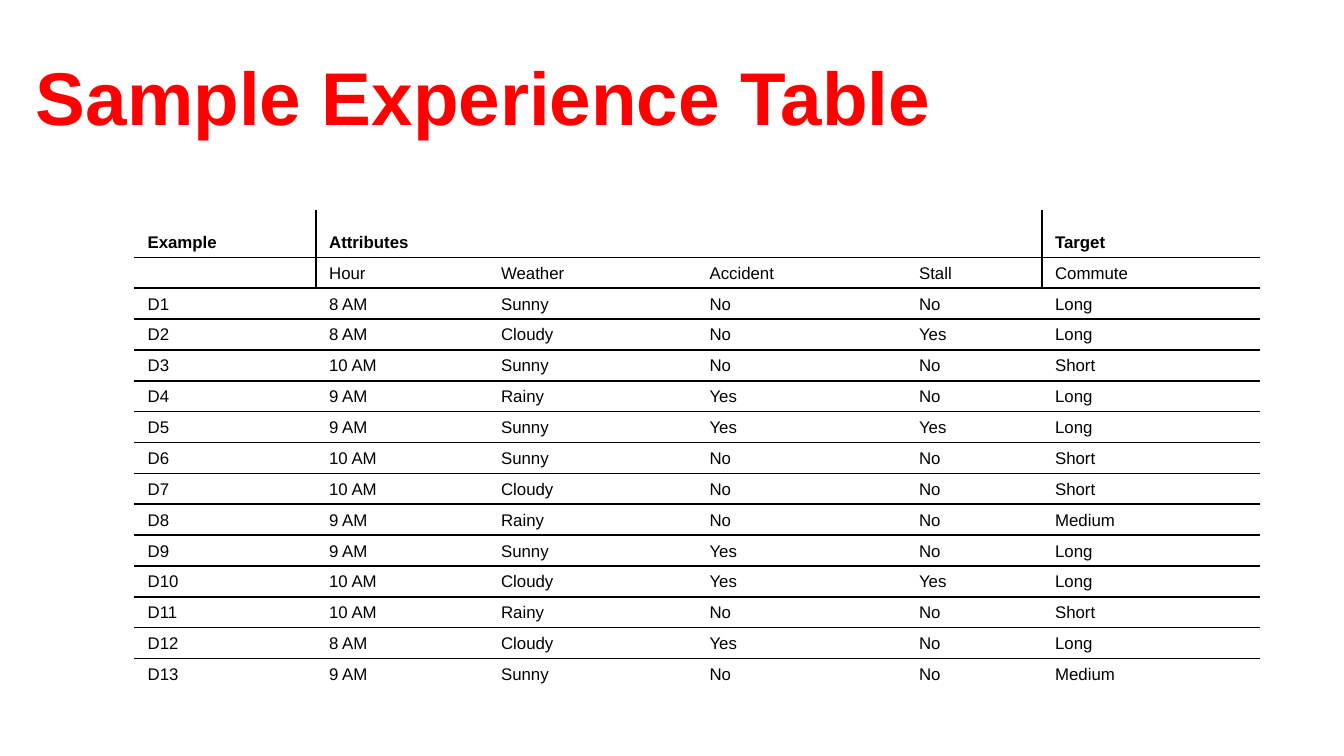
import dataclasses

import lxml.etree
import pptx
import pptx.dml.color
import pptx.enum.text
import pptx.oxml.ns
import pptx.util
from pptx.util import Cm


@dataclasses.dataclass(frozen=True)
class Theme:
    font: str = "Arial"
    red: str = "FF0000"
    black: str = "000000"
    title: int = 40
    body: int = 9
    rule: int = 1


theme = Theme()
qn = pptx.oxml.ns.qn


def write(para, text, size, color, bold):
    run = para.add_run()
    run.text = text
    run.font.name = theme.font
    run.font.size = pptx.util.Pt(size)
    run.font.bold = bold
    run.font.color.rgb = pptx.dml.color.RGBColor.from_string(color)


def edge(cell, side, shown):
    """Rule one side of a cell, or clear it; call in the order L, R, T, B."""
    width = str(pptx.util.Pt(theme.rule))
    line = lxml.etree.SubElement(cell._tc.get_or_add_tcPr(), qn(f"a:ln{side}"), w=width)
    if shown:
        fill = lxml.etree.SubElement(line, qn("a:solidFill"))
        lxml.etree.SubElement(fill, qn("a:srgbClr"), val=theme.black)
    else:
        lxml.etree.SubElement(line, qn("a:noFill"))


deck = pptx.Presentation()
deck.slide_width, deck.slide_height = Cm(25.4), Cm(14.28)
slide = deck.slides.add_slide(deck.slide_layouts[6])

# Title
box = slide.shapes.add_textbox(Cm(0.43), Cm(0.61), Cm(24.33), Cm(2.39))
frame = box.text_frame
frame.word_wrap = True
frame.vertical_anchor = pptx.enum.text.MSO_ANCHOR.MIDDLE
write(frame.paragraphs[0], "Sample Experience Table", theme.title, theme.red, True)

# Table
heads = [
    ("Example", "Attributes", "", "", "", "Target"),
    ("", "Hour", "Weather", "Accident", "Stall", "Commute"),
]
days = [
    ("8 AM", "Sunny", "No", "No", "Long"),
    ("8 AM", "Cloudy", "No", "Yes", "Long"),
    ("10 AM", "Sunny", "No", "No", "Short"),
    ("9 AM", "Rainy", "Yes", "No", "Long"),
    ("9 AM", "Sunny", "Yes", "Yes", "Long"),
    ("10 AM", "Sunny", "No", "No", "Short"),
    ("10 AM", "Cloudy", "No", "No", "Short"),
    ("9 AM", "Rainy", "No", "No", "Medium"),
    ("9 AM", "Sunny", "Yes", "No", "Long"),
    ("10 AM", "Cloudy", "Yes", "Yes", "Long"),
    ("10 AM", "Rainy", "No", "No", "Short"),
    ("8 AM", "Cloudy", "Yes", "No", "Long"),
    ("9 AM", "Sunny", "No", "No", "Medium"),
]
rows = heads + [(f"D{num}", *day) for num, day in enumerate(days, 1)]
wides = [3.43, 3.25, 3.94, 3.96, 2.57, 4.12]
highs = [0.9] + [0.57] * (len(rows) - 1)
splits = (1, 5)  # columns that start with an upright rule in the heads

grid = slide.shapes.add_table(
    len(rows), len(wides), Cm(2.54), Cm(3.96), Cm(sum(wides)), Cm(sum(highs))
).table
grid.first_row = grid.horz_banding = False
for col, wide in zip(grid.columns, wides):
    col.width = Cm(wide)
for row, high in zip(grid.rows, highs):
    row.height = Cm(high)

for r, row in enumerate(rows):
    for c, text in enumerate(row):
        cell = grid.cell(r, c)
        head = r < len(heads)
        edge(cell, "L", head and c in splits)
        edge(cell, "R", head and c + 1 in splits)
        edge(cell, "T", r > 0)
        edge(cell, "B", r < len(rows) - 1)
        cell.fill.background()
        cell.vertical_anchor = pptx.enum.text.MSO_ANCHOR.BOTTOM
        cell.margin_left = cell.margin_right = Cm(0.25)
        cell.margin_top = cell.margin_bottom = Cm(0.1)
        para = cell.text_frame.paragraphs[0]
        if text:
            write(para, text, theme.body, theme.black, r == 0)
        else:
            # Keeps an empty cell from growing its row
            lxml.etree.SubElement(para._p, qn("a:endParaRPr"), sz=str(theme.body * 100))
        props = para._p.get_or_add_pPr()
        props.set("marL", str(Cm(1.25)))
        props.set("indent", str(-Cm(1.25)))

grid.cell(0, 1).merge(grid.cell(0, 4))

deck.save("out.pptx")
